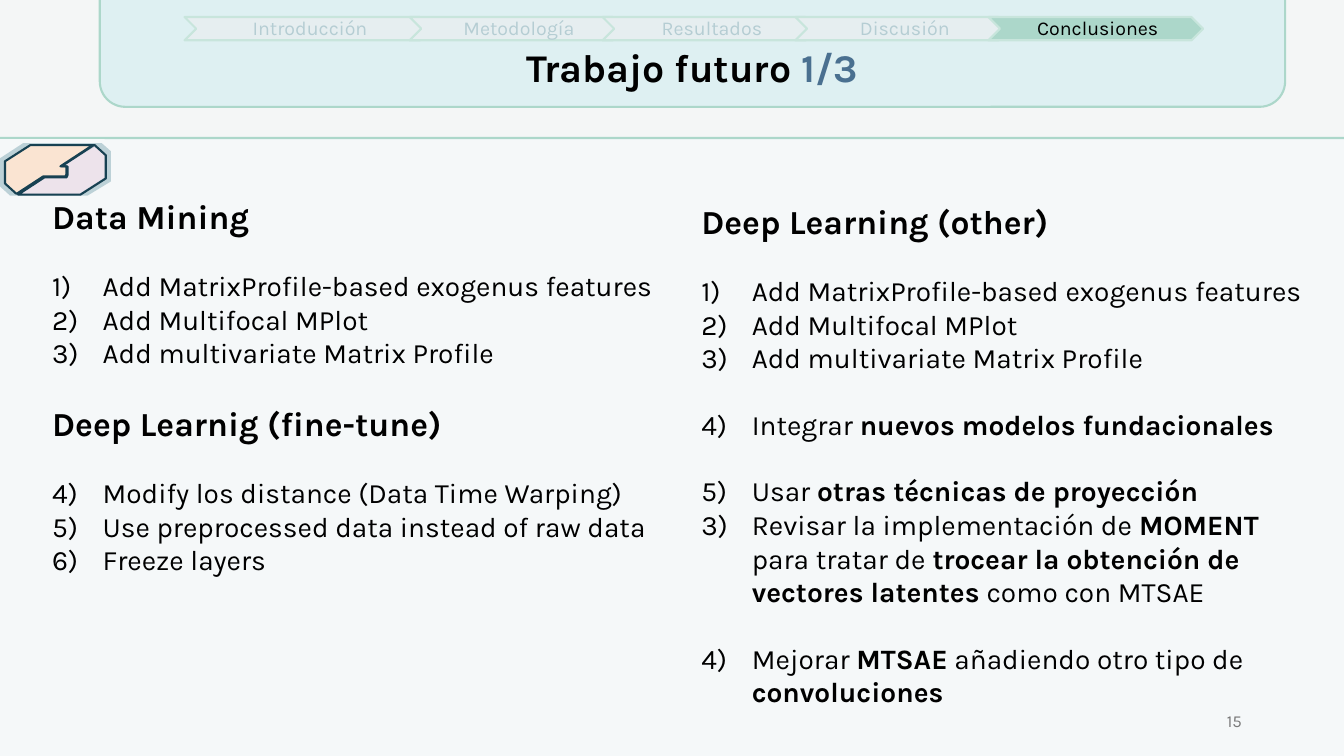
import pptx
import pptx.util
import pptx.dml.color
import pptx.enum.shapes
import pptx.enum.text
import pptx.oxml.ns
import lxml.etree

Pt = pptx.util.Pt
SHAPE = pptx.enum.shapes.MSO_SHAPE
ALIGN = pptx.enum.text.PP_ALIGN
ANCHOR = pptx.enum.text.MSO_ANCHOR

FONT = "Karla"
BLACK, MINT, PALE_MINT, NAVY = "000000", "ACD7CA", "C8E5DC", "174152"
BLANK_LINE = 23.5

SECTIONS = ["Introducción", "Metodología", "Resultados", "Discusión", "Conclusiones"]
CURRENT_SECTION = "Conclusiones"

# Each block: heading or None, first number, items as (text, gap before).
MATRIX_ITEMS = [
    ("Add MatrixProfile-based exogenus features", True),
    ("Add Multifocal MPlot", False),
    ("Add multivariate Matrix Profile", False),
]
LEFT_BLOCKS = [
    ("Data Mining", 1, MATRIX_ITEMS),
    ("Deep Learnig (fine-tune)", 4, [
        ("Modify los distance (Data Time Warping)", True),
        ("Use preprocessed data instead of raw data", False),
        ("Freeze layers", False),
    ]),
]
RIGHT_BLOCKS = [
    ("Deep Learning (other)", 1, MATRIX_ITEMS + [
        ("Integrar **nuevos modelos fundacionales**", True),
        ("Usar **otras técnicas de proyección**", True),
    ]),
    (None, 3, [
        ("Revisar la implementación de **MOMENT** para tratar de "
         "**trocear la obtención de vectores latentes** como con MTSAE", False),
        ("Mejorar **MTSAE** añadiendo otro tipo de **convoluciones**", True),
    ]),
]

# Badge outlines, in hundredths of an inch.
BADGE_UNIT = Pt(0.72)
BADGE_FRAME = [
    [(30, 144), (6, 160), (6, 182), (15, 192), (43, 174), (43, 175), (46, 175), (18, 192),
     (79, 192), (104, 176), (104, 154), (95, 145), (62, 165), (59, 165), (92, 144)],
    [(23, 142), (101, 142), (110, 150), (110, 180), (87, 194), (10, 194), (0, 185), (0, 157)],
]
BADGE_RIGHT = [[(93, 144), (94, 144), (105, 154), (105, 177), (80, 193), (18, 193),
                (44, 176), (66, 176), (67, 174), (67, 165), (61, 165)]]
BADGE_LEFT = [[(30, 144), (92, 144), (60, 165), (66, 165), (66, 173), (65, 175),
               (43, 175), (17, 192), (16, 192), (5, 182), (5, 160)]]


def rgb(color):
    return pptx.dml.color.RGBColor.from_string(color)


def paint(sp, fill, line=None, alpha=None):
    """Set fill and outline; alpha is the fill's opacity in percent."""
    sp.shadow.inherit = False
    sp.fill.solid()
    sp.fill.fore_color.rgb = rgb(fill)
    if alpha is not None:
        color = sp.fill._xPr.find(".//" + pptx.oxml.ns.qn("a:srgbClr"))
        lxml.etree.SubElement(color, pptx.oxml.ns.qn("a:alpha"), val=str(alpha * 1000))
    if line:
        sp.line.color.rgb = rgb(line)
        sp.line.width = Pt(1.5)
    else:
        sp.line.fill.background()


def add_panel(s, kind, x, y, w, h, fill, line):
    sp = s.shapes.add_shape(kind, Pt(x), Pt(y), Pt(w), Pt(h))
    paint(sp, fill, line)
    return sp


def add_run(p, text, size, color=BLACK, bold=False):
    r = p.add_run()
    r.text = text
    r.font.name = FONT
    r.font.size = Pt(size)
    r.font.bold = bold
    r.font.color.rgb = rgb(color)


def add_text_box(s, x, y, w, h):
    tf = s.shapes.add_textbox(Pt(x), Pt(y), Pt(w), Pt(h)).text_frame
    tf.word_wrap = True
    return tf


def add_header(s):
    sp = add_panel(s, SHAPE.ROUNDED_RECTANGLE, 71.3, -226.1, 846.7, 302.4, "DEF0F2", MINT)
    sp.adjustments[0] = 0.06
    tf = sp.text_frame
    tf.vertical_anchor = ANCHOR.BOTTOM
    tf.margin_bottom = Pt(6.5)
    p = tf.paragraphs[0]
    p.alignment = ALIGN.CENTER
    add_run(p, "Trabajo futuro ", 28, bold=True)
    add_run(p, "1/3", 28, "4A7090", True)


def add_section_step(s, name, x, w):
    current = name == CURRENT_SECTION
    sp = add_panel(s, SHAPE.CHEVRON, x, 12.2, w, 16.6,
                   MINT if current else "E6EEF0", PALE_MINT)
    tf = sp.text_frame
    tf.word_wrap = True
    tf.vertical_anchor = ANCHOR.MIDDLE
    tf.margin_left = Pt(4.3)
    tf.margin_top = tf.margin_right = tf.margin_bottom = Pt(1.4)
    p = tf.paragraphs[0]
    p.alignment = ALIGN.CENTER
    p.line_spacing = 0.9
    add_run(p, name, 14, BLACK if current else "B5CDD3")


def add_section_bar(s):
    first_width, width, overlap = 176.4, 153.4, 15.6
    x = 131.8
    for i, name in enumerate(SECTIONS):
        w = width if i else first_width
        add_section_step(s, name, x, w)
        x += w - overlap


def add_badge_part(s, contours, fill, line=None):
    builder = None
    for points in contours:
        if builder is None:
            builder = s.shapes.build_freeform(*points[0], scale=BADGE_UNIT)
        else:
            builder.move_to(*points[0])
        builder.add_line_segments(points[1:], close=True)
    paint(builder.convert_to_shape(), fill, line, alpha=50)


def number(p, start):
    pPr = p._p.get_or_add_pPr()
    pPr.set("marL", str(Pt(36)))
    pPr.set("indent", str(Pt(-36)))
    font = lxml.etree.SubElement(pPr, pptx.oxml.ns.qn("a:buFont"))
    font.set("typeface", FONT)
    bullet = lxml.etree.SubElement(pPr, pptx.oxml.ns.qn("a:buAutoNum"))
    bullet.set("type", "arabicParenR")
    if start > 1:
        bullet.set("startAt", str(start))


def add_column(s, x, y, h, blocks):
    tf = add_text_box(s, x, y, 450, h)
    paragraphs = []

    def next_paragraph(gap):
        p = tf.add_paragraph() if paragraphs else tf.paragraphs[0]
        if paragraphs and gap:
            p.space_before = Pt(BLANK_LINE)
        paragraphs.append(p)
        return p

    for heading, start, items in blocks:
        if heading:
            add_run(next_paragraph(True), heading, 24, bold=True)
        for text, gap in items:
            p = next_paragraph(gap)
            number(p, start)
            for i, part in enumerate(text.split("**")):
                if part:
                    add_run(p, part, 20, bold=i % 2 == 1)


def add_page_number(s):
    tf = add_text_box(s, 678.2, 500.4, 216, 28.8)
    tf.vertical_anchor = ANCHOR.MIDDLE
    p = tf.paragraphs[0]
    p.alignment = ALIGN.RIGHT
    add_run(p, "15", 12, "797979")


def main():
    prs = pptx.Presentation()
    prs.slide_width, prs.slide_height = Pt(960), Pt(540)
    s = prs.slides.add_slide(prs.slide_layouts[6])
    s.background.fill.solid()
    s.background.fill.fore_color.rgb = rgb("F4F6F6")

    body = add_panel(s, SHAPE.ROUNDED_RECTANGLE, -39.6, 98.6, 1038.2, 468, "F5F8F9", MINT)
    body.adjustments[0] = 0.06
    add_header(s)
    add_page_number(s)
    add_column(s, 30.2, 136.1, 308, LEFT_BLOCKS)
    add_section_bar(s)
    add_badge_part(s, BADGE_FRAME, "84ACB6")
    add_badge_part(s, BADGE_RIGHT, "E6D0DE", NAVY)
    add_badge_part(s, BADGE_LEFT, "FFD1AD", NAVY)
    add_column(s, 493.9, 139.7, 380, RIGHT_BLOCKS)
    prs.save("out.pptx")


if __name__ == "__main__":
    main()
